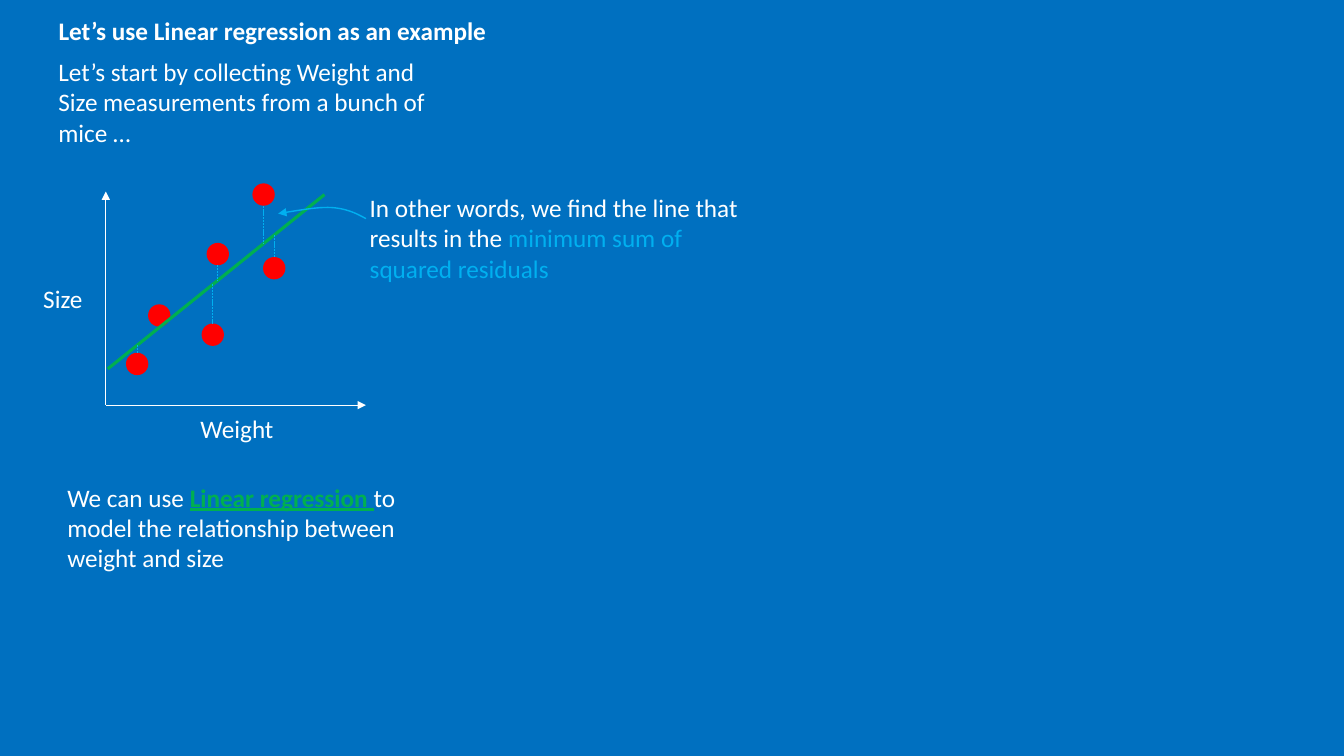
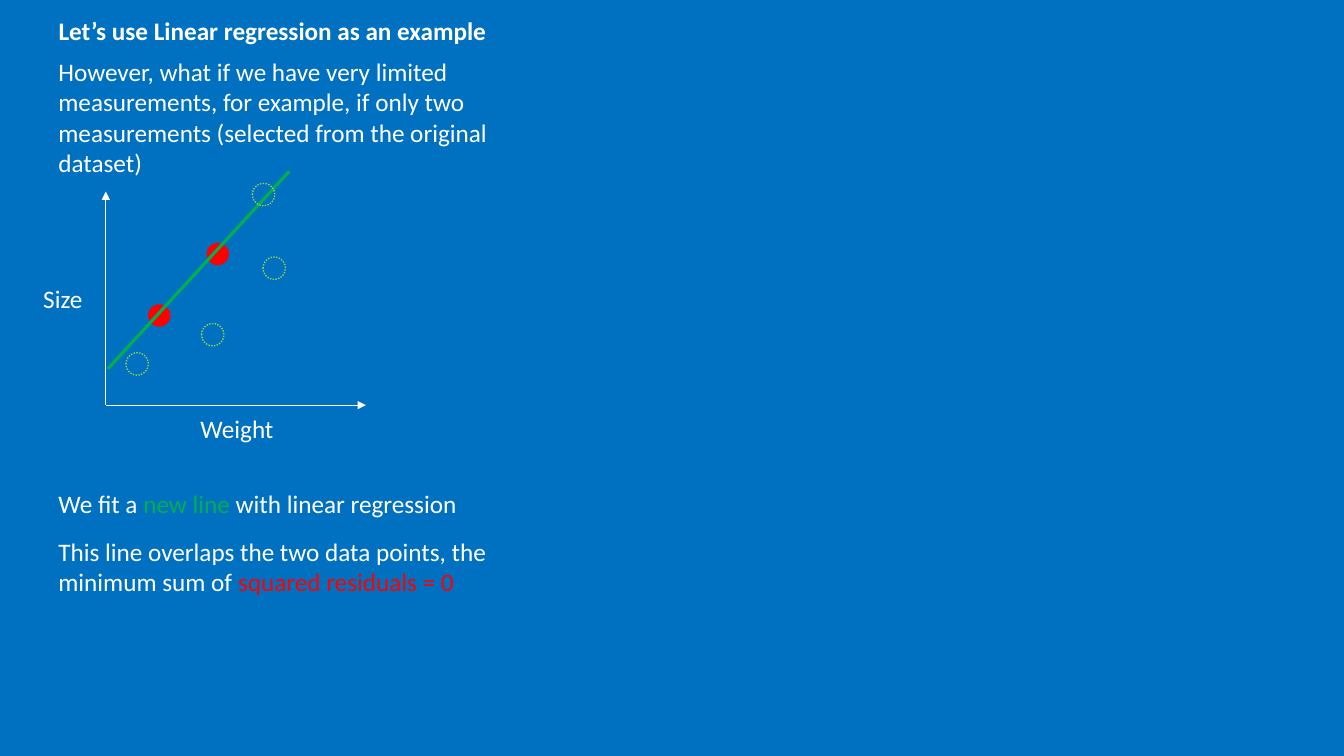
"""Build two slides that explain linear regression with a small scatter sketch."""
from pptx import Presentation
from pptx.dml.color import RGBColor
from pptx.enum.dml import MSO_LINE
from pptx.enum.shapes import MSO_CONNECTOR, MSO_SHAPE
from pptx.enum.text import MSO_ANCHOR, MSO_AUTO_SIZE, PP_ALIGN
from pptx.oxml.ns import qn
from pptx.util import Pt

STRAIGHT = MSO_CONNECTOR.STRAIGHT
OVAL = MSO_SHAPE.OVAL
DASHED, DOTTED = MSO_LINE.SQUARE_DOT, MSO_LINE.ROUND_DOT
TOP, LEFT = MSO_ANCHOR.TOP, PP_ALIGN.LEFT
NO_AUTOFIT = MSO_AUTO_SIZE.NONE

BLUE = RGBColor(0x00, 0x70, 0xC0)
WHITE = RGBColor(0xFF, 0xFF, 0xFF)
RED = RGBColor(0xFF, 0x00, 0x00)
GREEN = RGBColor(0x00, 0xB0, 0x50)
CYAN = RGBColor(0x00, 0xB0, 0xF0)
LIME = RGBColor(0x92, 0xD0, 0x50)

FONT, FONT_SIZE = "Calibri", 18
TITLE = "Let’s use Linear regression as an example"
MARGIN = 34.6
RADIUS = 8
ORIGIN = (75.6, 289.4)
SIZE_AXIS_END = (75.6, 136.8)
WEIGHT_AXIS_END = (261.4, 289.4)
LINE_START = (77, 263.5)
FULL_FIT_END = (231.8, 139)
NEW_FIT_END = (206.6, 122.4)
FITTED_POINTS = [(113.8, 225.4), (155.6, 181.5)]
OTHER_POINTS = [(98, 260), (152, 239.1), (195.9, 191.6), (188.3, 139)]
CALLOUT_CURVES = [
    [(261.4, 156.2), (254.9, 152.6), (247.7, 149), (236.9, 148.3)],
    [(236.9, 148.3), (226.8, 147.6), (212.4, 150.5), (198.7, 152.6)],
]


def curve_point(controls, t):
    """Return the point at t on a cubic curve with four control points."""
    weights = ((1 - t) ** 3, 3 * t * (1 - t) ** 2, 3 * t * t * (1 - t), t ** 3)
    return tuple(Pt(sum(w * c[axis] for w, c in zip(weights, controls))) for axis in (0, 1))


class RegressionDeck:
    """Hold the deck style and the current slide."""

    def __init__(self):
        """Start a widescreen deck on a blue background."""
        self.deck = Presentation()
        self.deck.slide_width, self.deck.slide_height = Pt(960), Pt(540)
        fill = self.deck.slide_master.background.fill
        fill.solid()
        fill.fore_color.rgb = BLUE
        self.slide = None

    def add_slide(self):
        """Add a slide with the shared title and axes."""
        self.slide = self.deck.slides.add_slide(self.deck.slide_layouts[5])
        title = self.slide.shapes.title
        title.left, title.top, title.width, title.height = Pt(MARGIN), Pt(7.2), Pt(370), Pt(29)
        title.text_frame.text = TITLE
        self.style_frame(title.text_frame)
        self.style_span(title.text_frame.paragraphs[0].runs[0], WHITE, bold=True)
        for end in (SIZE_AXIS_END, WEIGHT_AXIS_END):
            self.line(ORIGIN, end, WHITE, 0.5, arrow=True)
        self.text(136.1, 291.6, 78, 29, [("Weight", WHITE)])
        self.text(23.8, 198.7, 78, 29, [("Size", WHITE)])

    def style_frame(self, frame):
        """Wrap a text frame and align its text to the top left."""
        frame.word_wrap = True
        frame.auto_size = NO_AUTOFIT
        frame.vertical_anchor = TOP
        frame.paragraphs[0].alignment = LEFT

    def style_span(self, span, color, bold=False, underline=False):
        """Give a run the deck font, a colour and its emphasis."""
        font = span.font
        font.name, font.size = FONT, Pt(FONT_SIZE)
        font.color.rgb = color
        font.bold, font.underline = bold, underline

    def text(self, left, top, width, height, spans):
        """Add a text box from spans of wording, colour and emphasis."""
        box = self.slide.shapes.add_textbox(Pt(left), Pt(top), Pt(width), Pt(height))
        self.style_frame(box.text_frame)
        para = box.text_frame.paragraphs[0]
        for wording, *style in spans:
            span = para.add_run()
            span.text = wording
            self.style_span(span, *style)

    def style_line(self, line, color, width, dash=None, arrow=False):
        """Set the stroke of a line and its optional arrowhead."""
        line.color.rgb = color
        line.width = Pt(width)
        if dash is not None:
            line.dash_style = dash
        if arrow:
            stroke = line._get_or_add_ln()
            stroke.append(stroke.makeelement(qn("a:tailEnd"), {"type": "triangle"}))

    def line(self, start, end, color, width, dash=None, arrow=False):
        """Draw a straight connector between two points."""
        x1, y1, x2, y2 = (Pt(value) for value in (*start, *end))
        connector = self.slide.shapes.add_connector(STRAIGHT, x1, y1, x2, y2)
        self.style_line(connector.line, color, width, dash, arrow)
        properties = connector._element.spPr
        properties.append(properties.makeelement(qn("a:effectLst"), {}))

    def dots(self, points, filled=True):
        """Draw data points as red discs or dotted rings."""
        for x, y in points:
            dot = self.slide.shapes.add_shape(
                OVAL, Pt(x - RADIUS), Pt(y - RADIUS), Pt(2 * RADIUS), Pt(2 * RADIUS))
            dot.shadow.inherit = False
            if filled:
                dot.fill.solid()
                dot.fill.fore_color.rgb = RED
                dot.line.fill.background()
            else:
                dot.fill.background()
                self.style_line(dot.line, LIME, 1, DOTTED)

    def residuals(self, points, start, end):
        """Drop a dashed line from each dot's edge to the fitted line."""
        slope = (end[1] - start[1]) / (end[0] - start[0])
        for x, y in points:
            fitted = start[1] + slope * (x - start[0])
            if abs(fitted - y) > RADIUS + 1:
                edge = y + RADIUS if fitted > y else y - RADIUS
                self.line((x, edge), (x, fitted), CYAN, 0.5, DASHED)

    def curved_arrow(self, curves, steps=12):
        """Draw an open arrow along joined cubic curves."""
        points = [curve_point(curve, step / steps)
                  for curve in curves for step in range(1, steps + 1)]
        builder = self.slide.shapes.build_freeform(*curve_point(curves[0], 0))
        builder.add_line_segments(points, close=False)
        arrow = builder.convert_to_shape()
        arrow.shadow.inherit = False
        arrow.fill.background()
        self.style_line(arrow.line, CYAN, 1, arrow=True)


def main():
    """Build and save both slides."""
    show = RegressionDeck()

    show.add_slide()
    show.text(MARGIN, 36.7, 278.6, 72.7, [
        ("Let’s start by collecting Weight and Size measurements from a bunch of mice …", WHITE)])
    all_points = FITTED_POINTS + OTHER_POINTS
    show.dots(all_points)
    show.line(LINE_START, FULL_FIT_END, GREEN, 2.25)
    show.residuals(all_points, LINE_START, FULL_FIT_END)
    show.text(257, 133.9, 278.6, 72.7, [
        ("In other words, we find the line that results in the ", WHITE),
        ("minimum sum of squared residuals", CYAN)])
    show.curved_arrow(CALLOUT_CURVES)
    show.text(41, 340.6, 278.6, 72.7, [
        ("We can use ", WHITE),
        ("Linear regression ", GREEN, True, True),
        ("to model the relationship between weight and size", WHITE)])

    show.add_slide()
    show.text(MARGIN, 36.7, 370, 94.3, [
        ("However, what if we have very limited measurements, for example, if only two "
         "measurements (selected from the original dataset)", WHITE)])
    show.dots(FITTED_POINTS)
    show.line(LINE_START, NEW_FIT_END, GREEN, 2.25)
    show.dots(OTHER_POINTS, filled=False)
    show.text(MARGIN, 344.9, 314.6, 29, [
        ("We fit a ", WHITE), ("new line ", GREEN), ("with linear regression", WHITE)])
    show.text(MARGIN, 379.4, 342.7, 51, [
        ("This line overlaps the two data points, the minimum sum of ", WHITE),
        ("squared residuals = 0", RED)])

    show.deck.save("out.pptx")


if __name__ == "__main__":
    main()
